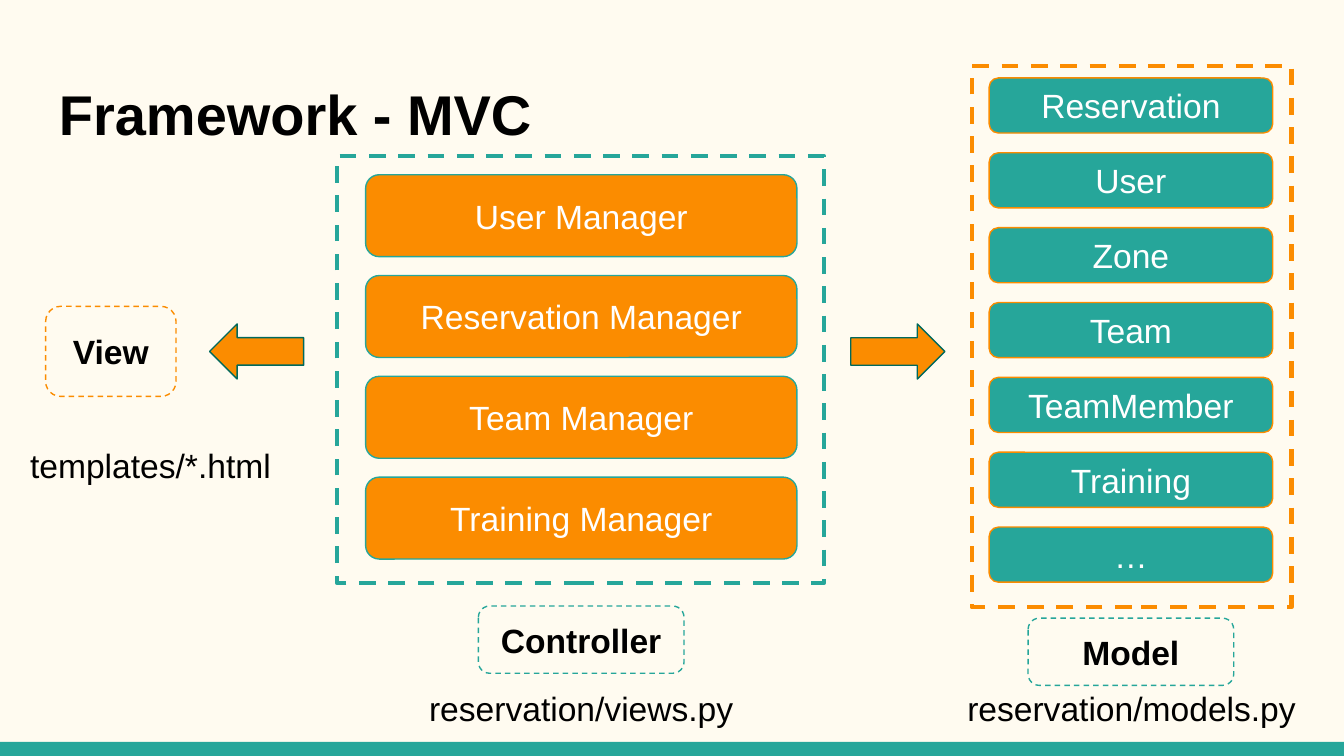
"""Build the Framework - MVC slide on a grid of tenth-of-an-inch cells."""
from dataclasses import dataclass
from typing import Any, Optional

from pptx import Presentation
from pptx.dml.color import RGBColor
from pptx.enum import dml, shapes, text
from pptx.util import Inches, Pt

CELL = Inches(0.1)
COLUMNS, ROWS = 100, 56.25
CREAM = RGBColor(0xFF, 0xFB, 0xF0)
TEAL = RGBColor(0x26, 0xA6, 0x9A)
DARK_TEAL = RGBColor(0x00, 0x69, 0x5C)
ORANGE = RGBColor(0xFB, 0x8C, 0x00)
WHITE = RGBColor(0xFF, 0xFF, 0xFF)
BLACK = RGBColor(0x00, 0x00, 0x00)
RECT = shapes.MSO_SHAPE.RECTANGLE
ROUNDED = shapes.MSO_SHAPE.ROUNDED_RECTANGLE
ARROW = shapes.MSO_SHAPE.LEFT_ARROW


@dataclass(frozen=True)
class Area:
    """A place on the grid."""
    col: float
    row: float
    cols: float
    rows: float

    def emu(self) -> list[int]:
        """Return left, top, width and height in EMU."""
        return [round(n * CELL) for n in (self.col, self.row, self.cols, self.rows)]


@dataclass(frozen=True)
class Stack:
    """A column of equal boxes at an equal pitch."""
    first: Area
    pitch: float
    fill: RGBColor
    line: RGBColor
    labels: tuple[str, ...]


@dataclass(frozen=True)
class Tag:
    """A dashed label naming one part of the pattern."""
    label: str
    area: Area
    line: RGBColor


@dataclass(frozen=True)
class Caption:
    """The file that holds one part of the pattern."""
    label: str
    area: Area


MANAGERS = Stack(Area(27.2, 13, 32.1, 6.1), 7.5, ORANGE, TEAL,
                 ("User Manager", "Reservation Manager", "Team Manager", "Training Manager"))
MODELS = Stack(Area(73.6, 5.8, 21.1, 4.1), 5.57, TEAL, ORANGE,
               ("Reservation", "User", "Zone", "Team", "TeamMember", "Training", "…"))
TAGS = (Tag("View", Area(3.4, 22.8, 9.7, 6.7), ORANGE),
        Tag("Controller", Area(35.6, 45.1, 15.3, 5), TEAL),
        Tag("Model", Area(76.5, 46, 15.3, 5), TEAL))
CAPTIONS = (Caption("templates/*.html", Area(1, 32.1, 20.4, 5)),
            Caption("reservation/views.py", Area(29.5, 50.2, 27.5, 5)),
            Caption("reservation/models.py", Area(69.7, 50.2, 29, 5)))


def write(holder: Any, words: str, *, size: float = 18, color: RGBColor = BLACK,
          bold: bool = False, align: Any = text.PP_ALIGN.CENTER,
          anchor: Any = text.MSO_ANCHOR.MIDDLE) -> None:
    """Put formatted words into a shape or text box."""
    frame = holder.text_frame
    frame.word_wrap = True
    frame.vertical_anchor = anchor
    frame.margin_left = frame.margin_right = frame.margin_top = frame.margin_bottom = CELL
    paragraph = frame.paragraphs[0]
    paragraph.alignment = align
    run = paragraph.add_run()
    run.text = words
    run.font.name, run.font.size, run.font.bold = "Arial", Pt(size), bold
    run.font.color.rgb = color


def draw(tree: Any, kind: Any, area: Area, *, fill: Optional[RGBColor] = None,
         line: Optional[RGBColor] = None, weight: float = 0.75, dashed: bool = False) -> Any:
    """Add one preset shape."""
    shape = tree.add_shape(kind, *area.emu())
    shape.shadow.inherit = False
    if fill is None:
        shape.fill.background()
    else:
        shape.fill.solid()
        shape.fill.fore_color.rgb = fill
    if line is None:
        shape.line.fill.background()
    else:
        shape.line.color.rgb = line
        shape.line.width = Pt(weight)
        if dashed:
            shape.line.dash_style = dml.MSO_LINE.DASH
    return shape


def draw_stack(tree: Any, stack: Stack) -> None:
    """Add the boxes of a stack from top to bottom."""
    first = stack.first
    for index, label in enumerate(stack.labels):
        area = Area(first.col, first.row + index * stack.pitch, first.cols, first.rows)
        box = draw(tree, ROUNDED, area, fill=stack.fill, line=stack.line)
        write(box, label, color=WHITE)


def main() -> None:
    """Build and save the slide."""
    deck = Presentation()
    deck.slide_width, deck.slide_height = round(COLUMNS * CELL), round(ROWS * CELL)
    slide = deck.slides.add_slide(deck.slide_layouts[6])
    slide.background.fill.solid()
    slide.background.fill.fore_color.rgb = CREAM
    tree = slide.shapes

    draw(tree, RECT, Area(0, ROWS - 1.05, COLUMNS, 1.05), fill=TEAL)
    controller = tree.add_group_shape().shapes
    draw(controller, RECT, Area(25.1, 11.6, 36.2, 31.8), line=TEAL, weight=2.25, dashed=True)
    draw_stack(controller, MANAGERS)
    draw(tree, RECT, Area(72.3, 4.9, 23.8, 40.3), line=ORANGE, weight=2.25, dashed=True)
    draw_stack(tree, MODELS)

    title = tree.add_textbox(*Area(3.4, 4.9, 93.2, 6.7).emu())
    write(title, "Framework - MVC", size=30, bold=True,
          align=text.PP_ALIGN.LEFT, anchor=text.MSO_ANCHOR.TOP)
    for tag in TAGS:
        write(draw(tree, ROUNDED, tag.area, line=tag.line, dashed=True), tag.label, bold=True)
    for caption in CAPTIONS:
        write(tree.add_textbox(*caption.area.emu()), caption.label, anchor=text.MSO_ANCHOR.TOP)
    for col, turn in ((15.6, 0), (63.3, 180)):
        arrow = draw(tree, ARROW, Area(col, 24.1, 7, 4.1), fill=ORANGE, line=DARK_TEAL)
        arrow.rotation = turn

    deck.save("out.pptx")


if __name__ == "__main__":
    main()
